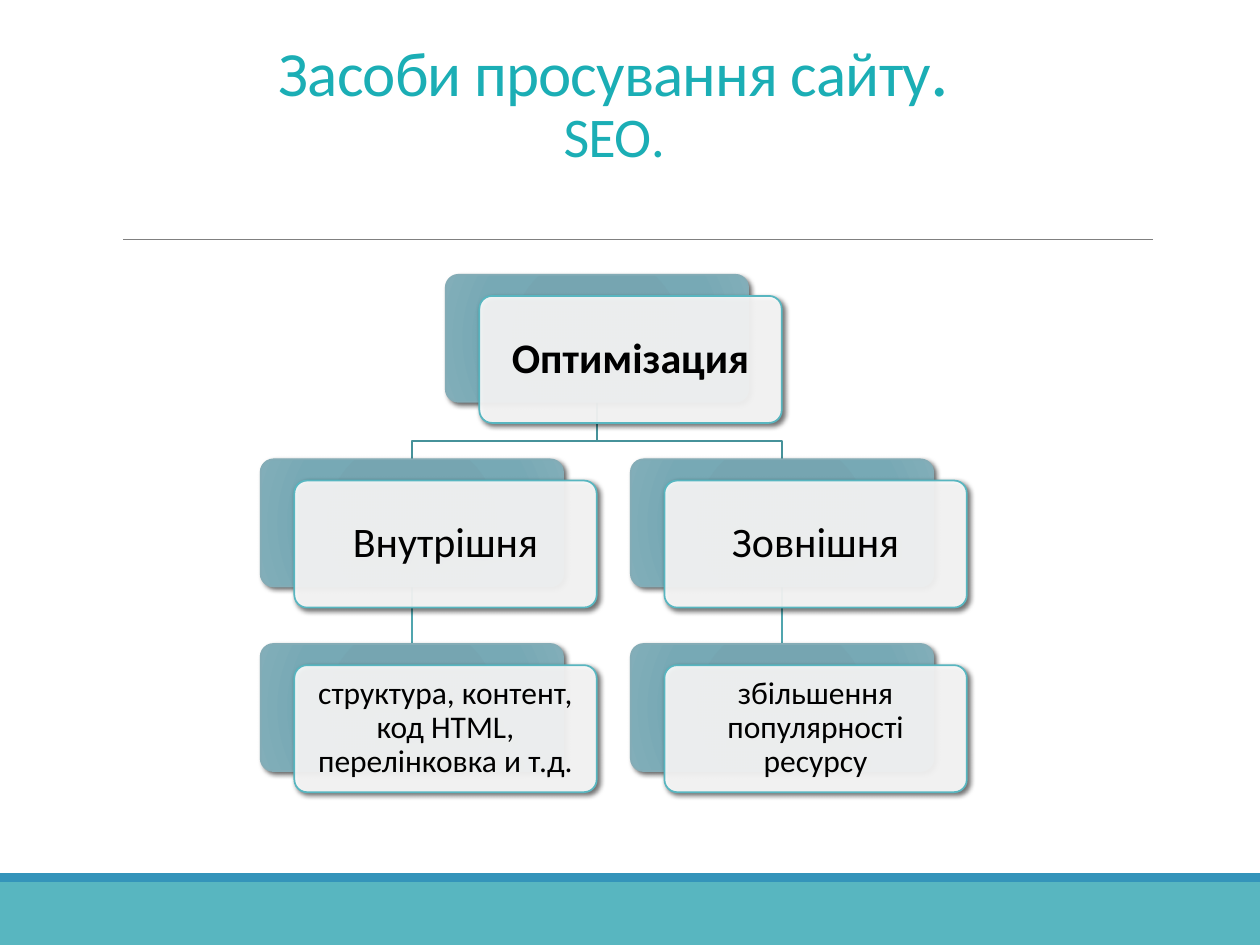
from lxml.etree import SubElement
from pptx import Presentation
from pptx.dml.color import RGBColor
from pptx.enum.shapes import MSO_CONNECTOR, MSO_SHAPE
from pptx.enum.text import MSO_ANCHOR, MSO_AUTO_SIZE, PP_ALIGN
from pptx.oxml import parse_xml
from pptx.oxml.ns import nsdecls, qn
from pptx.util import Pt

FONT = "Calibri"
TITLE_COLOR = RGBColor(0x1B, 0xAE, 0xB5)
TEAL = RGBColor(0x58, 0xB6, 0xC0)
BLUE = RGBColor(0x34, 0x94, 0xBA)
GRAY = RGBColor(0x80, 0x80, 0x80)
UPPER_LINK = RGBColor(0x46, 0x92, 0x9A)
LOWER_LINK = RGBColor(0x50, 0xA5, 0xAE)
BACK_LINE = RGBColor(0x84, 0xAC, 0xB6)
WHITE = RGBColor(0xFF, 0xFF, 0xFF)
BLACK = RGBColor(0, 0, 0)
BACK_STOPS = [(0, "74A4B1"), (34, "76A5B1"), (70, "77A9B5"), (100, "82AEB9")]

# Title lines, each a list of (text, size)
TITLE = [[("Засоби просування сайту", 36), (".", 42)], [("SEO", 32), (".", 31)]]
# (text, column, row, size, bold)
CARDS = [
    ("Оптимізация", 0.5, 0, 24, True),
    ("Внутрішня", 0, 1, 24, False),
    ("структура, контент, код HTML, перелінковка и т.д.", 0, 2, 18, False),
    ("Зовнішня", 1, 1, 24, False),
    ("збільшення популярності ресурсу", 1, 2, 18, False),
]
FOOTER_BANDS = [(504, 36, TEAL), (499, 5, BLUE)]

LEFT, TOP = 149, 157
CARD_W, CARD_H = 172.8, 72.6
COLUMN_STEP, ROW_STEP = 211.5, 105.5
FRONT_DX, FRONT_DY = 19.2, 12.1


def card_position(column, row):
    return LEFT + column * COLUMN_STEP, TOP + row * ROW_STEP


def add_line(x1, y1, x2, y2, color, width):
    line = slide.shapes.add_connector(MSO_CONNECTOR.STRAIGHT, Pt(x1), Pt(y1), Pt(x2), Pt(y2))
    line.line.color.rgb = color
    line.line.width = Pt(width)
    SubElement(line._element.spPr, qn("a:effectLst"))


def add_elbow(child_column):
    """Link the top card to a card of the second row."""
    parent_x, parent_y = card_position(0.5, 0)
    child_x, child_y = card_position(child_column, 1)
    start, end = parent_x + CARD_W / 2, child_x + CARD_W / 2
    bend = child_y - 10.4
    builder = slide.shapes.build_freeform(Pt(start), Pt(parent_y + CARD_H))
    builder.add_line_segments(
        [(Pt(start), Pt(bend)), (Pt(end), Pt(bend)), (Pt(end), Pt(child_y))], close=False)
    elbow = builder.convert_to_shape()
    elbow.shadow.inherit = False
    elbow.fill.background()
    elbow.line.color.rgb = UPPER_LINK
    elbow.line.width = Pt(1.25)


def add_card_layer(x, y, line_color):
    layer = slide.shapes.add_shape(
        MSO_SHAPE.ROUNDED_RECTANGLE, Pt(x), Pt(y), Pt(CARD_W), Pt(CARD_H))
    layer.adjustments[0] = 0.1
    layer.fill.solid()
    layer.fill.fore_color.rgb = WHITE
    layer.line.color.rgb = line_color
    layer.line.width = Pt(1)
    layer.shadow.inherit = False
    layer._element.spPr.find(qn("a:effectLst")).append(parse_xml(
        f'<a:outerShdw {nsdecls("a")} blurRad="{Pt(3)}" dist="{Pt(2)}" dir="2700000" '
        'algn="tl" rotWithShape="0"><a:srgbClr val="000000"><a:alpha val="60000"/>'
        '</a:srgbClr></a:outerShdw>'))
    return layer


def add_card(text, column, row, size, bold):
    x, y = card_position(column, row)
    back = add_card_layer(x, y, BACK_LINE)
    stops = "".join(f'<a:gs pos="{pos * 1000}"><a:srgbClr val="{color}"/></a:gs>'
                    for pos, color in BACK_STOPS)
    properties = back._element.spPr
    properties.replace(properties.find(qn("a:solidFill")), parse_xml(
        f'<a:gradFill {nsdecls("a")} rotWithShape="1"><a:gsLst>{stops}</a:gsLst>'
        '<a:path path="circle"><a:fillToRect l="100000" t="100000" r="100000" b="100000"/>'
        '</a:path></a:gradFill>'))

    front = add_card_layer(x + FRONT_DX, y + FRONT_DY, TEAL)
    white = front._element.spPr.find(qn("a:solidFill"))[0]
    SubElement(white, qn("a:alpha"), val="90000")
    frame = front.text_frame
    frame.word_wrap = True
    frame.vertical_anchor = MSO_ANCHOR.MIDDLE
    frame.margin_left = frame.margin_right = frame.margin_top = frame.margin_bottom = Pt(8)
    label = frame.paragraphs[0]
    label.alignment = PP_ALIGN.CENTER
    label.line_spacing = 0.9
    add_run(label, text, size, BLACK).font.bold = bold


def add_run(paragraph, text, size, color):
    run = paragraph.add_run()
    run.text = text
    run.font.name = FONT
    run.font.size = Pt(size)
    run.font.color.rgb = color
    return run


def fill_title():
    title = slide.shapes.title
    title.left, title.top, title.width, title.height = Pt(54), Pt(9.4), Pt(594), Pt(90.7)
    frame = title.text_frame
    frame.word_wrap = True
    frame.auto_size = MSO_AUTO_SIZE.NONE
    frame.vertical_anchor = MSO_ANCHOR.BOTTOM
    heading = frame.paragraphs[0]
    heading.alignment = PP_ALIGN.CENTER
    heading.line_spacing = 0.85
    for number, runs in enumerate(TITLE):
        if number:
            heading.add_line_break()
        for text, size in runs:
            run = add_run(heading, text, size, TITLE_COLOR)
            run.font._element.set("spc", "-50")


prs = Presentation()
prs.slide_width, prs.slide_height = Pt(720), Pt(540)
slide = prs.slides.add_slide(prs.slide_layouts[5])

for band_top, band_height, band_color in FOOTER_BANDS:
    band = slide.shapes.add_shape(
        MSO_SHAPE.RECTANGLE, 0, Pt(band_top), prs.slide_width, Pt(band_height))
    band.shadow.inherit = False
    band.fill.solid()
    band.fill.fore_color.rgb = band_color
    band.line.fill.background()
add_line(70.5, 136.8, 659, 136.8, GRAY, 0.5)
fill_title()

for branch in (1, 0):
    branch_x, branch_y = card_position(branch, 1)
    center = branch_x + CARD_W / 2
    add_line(center, branch_y + CARD_H, center, branch_y + ROW_STEP, LOWER_LINK, 1.25)
    add_elbow(branch)
for card in CARDS:
    add_card(*card)

prs.save("out.pptx")
